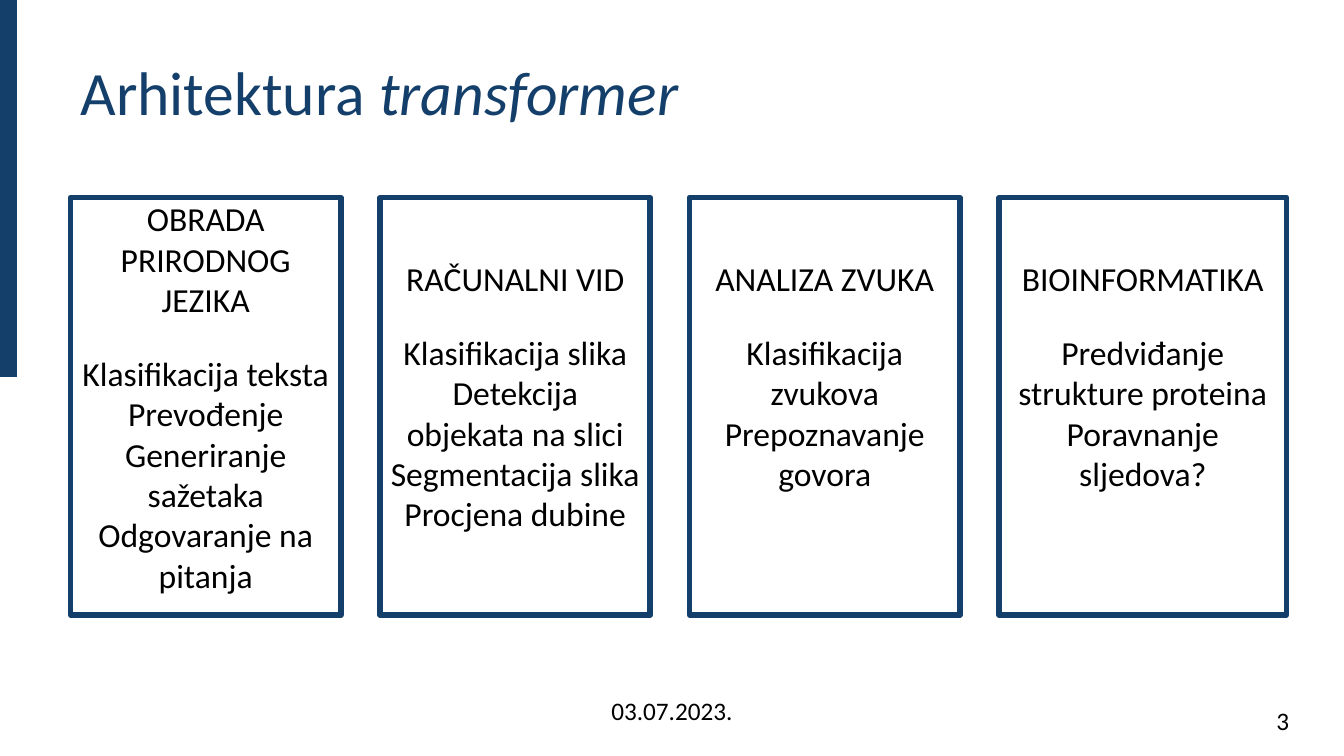
from pptx import Presentation
from pptx.dml.color import RGBColor
from pptx.enum.shapes import MSO_SHAPE
from pptx.enum.text import MSO_ANCHOR, PP_ALIGN
from pptx.util import Cm, Pt

# Content
TITLE = [("Arhitektura ", False), ("transformer", True)]
DATE = "03.07.2023."
PAGE = "3"
# Heading, tasks, card width and top inset in cm
CARDS = [
    ("OBRADA PRIRODNOG JEZIKA",
     ["Klasifikacija teksta", "Prevođenje", "Generiranje sažetaka",
      "Odgovaranje na pitanja"], 6.81, 0.02),
    ("RAČUNALNI VID",
     ["Klasifikacija slika", "Detekcija objekata na slici",
      "Segmentacija slika", "Procjena dubine"], 6.81, 1.52),
    ("ANALIZA ZVUKA",
     ["Klasifikacija zvukova", "Prepoznavanje govora"], 6.81, 1.52),
    ("BIOINFORMATIKA",
     ["Predviđanje strukture proteina", "Poravnanje sljedova?"], 7.24, 1.52),
]

# Style
NAVY = RGBColor(0x14, 0x3F, 0x6A)
BLACK = RGBColor(0, 0, 0)
FONT = "Calibri"

# Layout in cm
CARD_LEFT, CARD_TOP, CARD_HEIGHT, CARD_STEP = 1.78, 4.98, 10.52, 7.8

presentation = Presentation()
presentation.slide_width, presentation.slide_height = Cm(33.87), Cm(19.05)
slide = presentation.slides.add_slide(presentation.slide_layouts[6])


def set_style(paragraph, size, color=BLACK, align=PP_ALIGN.CENTER):
    paragraph.alignment = align
    paragraph.font.name = FONT
    paragraph.font.size = Pt(size)
    paragraph.font.color.rgb = color


def add_rectangle(left, top, width, height):
    rectangle = slide.shapes.add_shape(
        MSO_SHAPE.RECTANGLE, Cm(left), Cm(top), Cm(width), Cm(height))
    rectangle.shadow.inherit = False
    return rectangle


def add_text(left, top, width, height, anchor=MSO_ANCHOR.TOP):
    frame = slide.shapes.add_textbox(
        Cm(left), Cm(top), Cm(width), Cm(height)).text_frame
    frame.word_wrap = True
    frame.vertical_anchor = anchor
    return frame.paragraphs[0]


# Side bar
side_bar = add_rectangle(0, 0, 0.43, 9.5)
side_bar.fill.solid()
side_bar.fill.fore_color.rgb = NAVY
side_bar.line.fill.background()

# Title
title = add_text(1.78, 1.45, 25.68, 2.31)
set_style(title, 44, NAVY, PP_ALIGN.LEFT)
title.line_spacing = 0.9
for words, italic in TITLE:
    run = title.add_run()
    run.text = words
    run.font.italic = italic

# Application cards
for column, (heading, tasks, width, inset) in enumerate(CARDS):
    card = add_rectangle(CARD_LEFT + column * CARD_STEP, CARD_TOP,
                         width, CARD_HEIGHT)
    card.fill.background()
    card.line.color.rgb = NAVY
    card.line.width = Pt(4)
    frame = card.text_frame
    frame.word_wrap = True
    frame.vertical_anchor = MSO_ANCHOR.TOP
    frame.margin_top = Cm(inset)
    frame.text = "\n".join([heading, *tasks])
    for paragraph in frame.paragraphs:
        set_style(paragraph, 24)
    frame.paragraphs[1].space_before = Pt(24)

# Footer
date = add_text(14.99, 17.4, 3.89, 1.17)
date.text = DATE
set_style(date, 18)
page = add_text(25.12, 17.65, 7.62, 1.02, MSO_ANCHOR.MIDDLE)
page.text = PAGE
set_style(page, 18, align=PP_ALIGN.RIGHT)

presentation.save("out.pptx")
